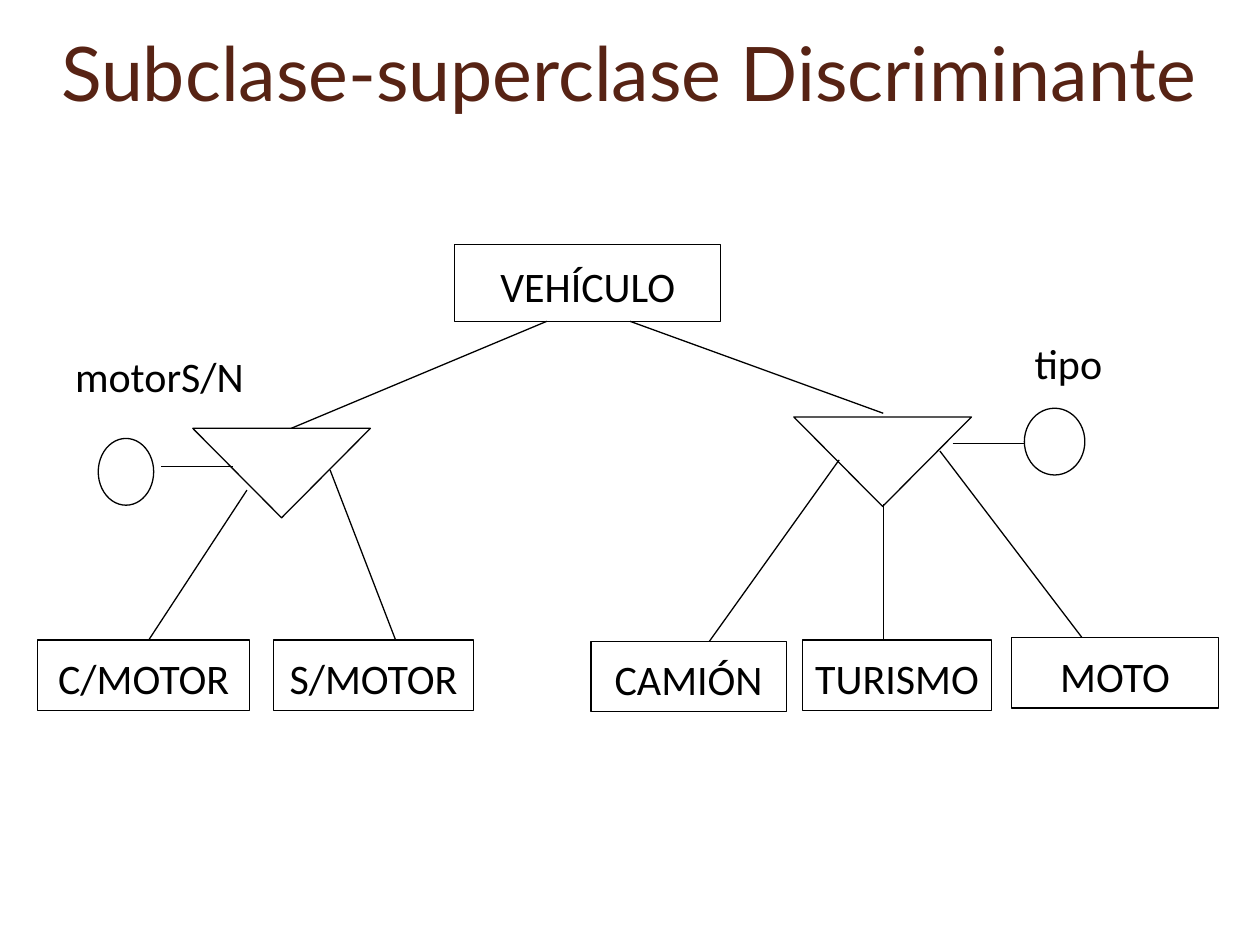
from pptx import Presentation
from pptx.util import Inches, Pt
from pptx.dml.color import RGBColor as Rgb
from pptx.enum.shapes import MSO_SHAPE as Form, MSO_CONNECTOR as Link
from pptx.enum.text import MSO_ANCHOR as Anchor, PP_ALIGN as Align
from pptx.oxml.ns import qn
from lxml.etree import SubElement

theme = {
    "ink": Rgb.from_string("000000"),
    "title": Rgb.from_string("572314"),
    "paper": Rgb.from_string("FFFFFF"),
    "head": Pt(43),
    "body": Pt(24),
    "rule": Pt(0.75),
}

deck = Presentation()
deck.slide_width, deck.slide_height = Inches(10), Inches(7.5)
col, row = deck.slide_width / 100, deck.slide_height / 75
slide = deck.slides.add_slide(deck.slide_layouts[6])
shapes = slide.shapes


def write(item, text, size=theme["body"], font="Calibri", tint=theme["ink"],
          anchor=Anchor.MIDDLE, pad=(0, 0.05, 0, 0.01), wrap=True):
    frame = item.text_frame
    frame.word_wrap = wrap
    frame.vertical_anchor = anchor
    (frame.margin_left, frame.margin_top,
     frame.margin_right, frame.margin_bottom) = map(Inches, pad)
    frame.text = text
    para = frame.paragraphs[0]
    para.alignment = Align.CENTER
    face = para.runs[0].font
    face.name, face.size, face.color.rgb = font, size, tint


def draw(form, x, y, w, h, solid=True):
    item = shapes.add_shape(form, int(x * col), int(y * row), int(w * col), int(h * row))
    item.shadow.inherit = False
    if solid:
        item.fill.solid()
        item.fill.fore_color.rgb = theme["paper"]
    else:
        item.fill.background()
    item.line.color.rgb = theme["ink"]
    item.line.width = theme["rule"]
    return item


title = shapes.add_textbox(int(2.8 * col), int(0.7 * row), int(94.2 * col), int(10 * row))
write(title, "Subclase-superclase Discriminante", theme["head"], "Lato",
      theme["title"], pad=(0.1, 0.05, 0.1, 0.05))

for text, x, y, w in [("tipo", 81.3, 26.3, 7), ("motorS/N", 4.6, 27.3, 16.1)]:
    label = shapes.add_textbox(int(x * col), int(y * row), int(w * col), int(6.5 * row))
    write(label, text, anchor=Anchor.TOP)

for x1, y1, x2, y2 in [
    (43.4, 25.5, 23.1, 34),
    (50, 25.5, 70.1, 32.8),
    (19.6, 38.9, 11.8, 50.8),
    (26.2, 37.3, 31.4, 50.8),
    (66.6, 36.5, 56.3, 50.9),
    (70.1, 40, 70.1, 50.8),
    (74.6, 35.8, 86.1, 50.9),
    (12.8, 37, 18.5, 37),
    (75.6, 35.2, 81.3, 35.2),
]:
    line = shapes.add_connector(Link.STRAIGHT, int(x1 * col), int(y1 * row),
                                int(x2 * col), int(y2 * row))
    line.line.color.rgb = theme["ink"]
    line.line.width = theme["rule"]
    SubElement(line._element.spPr, qn("a:effectLst"))

for x, y in [(15.3, 34), (63, 33.1)]:
    split = draw(Form.ISOSCELES_TRIANGLE, x, y, 14.1, 7.1, solid=False)
    split._element.spPr.xfrm.set("flipV", "1")

for x, y, w in [(7.8, 34.8, 4.4), (81.3, 32.4, 4.8)]:
    draw(Form.OVAL, x, y, w, 5.3)

write(draw(Form.RECTANGLE, 36.1, 19.4, 21.1, 6.1, solid=False), "VEHÍCULO")

for text, x, y, w in [
    ("C/MOTOR", 3, 50.8, 16.8),
    ("S/MOTOR", 21.7, 50.8, 15.9),
    ("CAMIÓN", 46.9, 50.9, 15.5),
    ("TURISMO", 63.7, 50.8, 15),
    ("MOTO", 80.3, 50.6, 16.4),
]:
    write(draw(Form.RECTANGLE, x, y, w, 5.6), text,
          pad=(0.04, 0.05, 0.04, 0.01), wrap=False)

deck.save("out.pptx")
